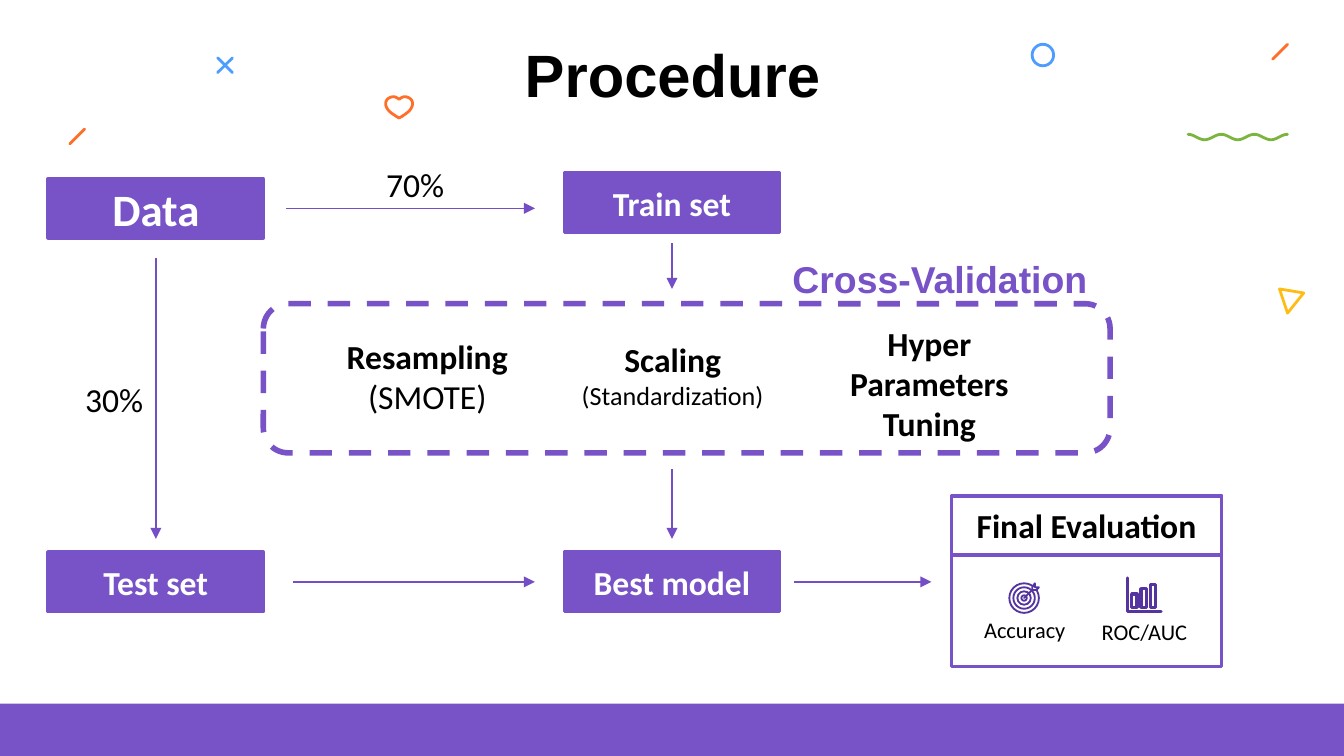
from dataclasses import dataclass
from math import cos, pi
from lxml.etree import SubElement
from pptx import Presentation
from pptx.dml.color import RGBColor
from pptx.enum.dml import MSO_LINE
from pptx.enum.shapes import MSO_CONNECTOR, MSO_SHAPE
from pptx.enum.text import MSO_ANCHOR, PP_ALIGN
from pptx.oxml.ns import qn
from pptx.util import Inches, Pt


@dataclass(frozen=True)
class Theme:
    purple: str = "7753C7"
    arrow: str = "734EC5"
    icon: str = "5534A0"
    white: str = "FFFFFF"
    black: str = "000000"
    orange: str = "FF6F29"
    blue: str = "4D9DFF"
    green: str = "7CB53E"
    yellow: str = "FFBC12"
    head: str = "Arial"
    body: str = "Calibri"
    title: int = 32
    data: int = 24
    section: int = 20
    step: int = 18
    note: int = 14
    small: int = 12


T = Theme()
SLIDE_W, SLIDE_H = 10, 10 * 9 / 16
BOX_W, BOX_H = 1.6, 0.44
HEADING = dict(font=T.head, anchor=MSO_ANCHOR.TOP, pad=0.05)


# Basic parts
def style(s, fill=None, line=None, width=2):
    s.shadow.inherit = False
    if fill:
        s.fill.solid()
        s.fill.fore_color.rgb = RGBColor.from_string(fill)
    else:
        s.fill.background()
    if line:
        s.line.color.rgb = RGBColor.from_string(line)
        s.line.width = Pt(width)
    else:
        s.line.fill.background()
    return s


def write(s, paragraphs, color=T.black, font=T.body,
          anchor=MSO_ANCHOR.MIDDLE, pad=0.1):
    """Fill a shape with centred (text, size, bold) paragraphs."""
    tf = s.text_frame
    frame = dict(word_wrap=True, vertical_anchor=anchor,
                 margin_left=Inches(0.1), margin_right=Inches(0.1),
                 margin_top=Inches(pad), margin_bottom=Inches(pad))
    for name, value in frame.items():
        setattr(tf, name, value)
    for i, (text, size, bold) in enumerate(paragraphs):
        p = tf.add_paragraph() if i else tf.paragraphs[0]
        p.alignment = PP_ALIGN.CENTER
        r = p.add_run()
        r.text = text
        for name, value in dict(name=font, size=Pt(size), bold=bold).items():
            setattr(r.font, name, value)
        r.font.color.rgb = RGBColor.from_string(color)


def add_block(slide, box, kind=MSO_SHAPE.RECTANGLE, **look):
    return style(slide.shapes.add_shape(kind, *map(Inches, box)), **look)


def add_label(slide, box, *paragraphs, **look):
    write(slide.shapes.add_textbox(*map(Inches, box)), paragraphs, **look)


def add_step(slide, x, y, text, size=T.step):
    s = add_block(slide, (x, y, BOX_W, BOX_H), fill=T.purple, line=T.purple)
    write(s, [(text, size, True)], T.white)


def add_line(slide, x1, y1, x2, y2, color, width, head=False):
    s = slide.shapes.add_connector(MSO_CONNECTOR.STRAIGHT,
                                   *map(Inches, (x1, y1, x2, y2)))
    s.line.color.rgb = RGBColor.from_string(color)
    s.line.width = Pt(width)
    ln = s.line._get_or_add_ln()
    if head:
        SubElement(ln, qn("a:tailEnd"), type="triangle")
    else:
        ln.set("cap", "rnd")
    SubElement(s._element.spPr, qn("a:effectLst"))


def add_outline(slide, points, color, width=1.5, close=False, fill=None):
    pts = [(Inches(x), Inches(y)) for x, y in points]
    fb = slide.shapes.build_freeform(*pts[0])
    fb.add_line_segments(pts[1:], close=close)
    s = style(fb.convert_to_shape(), fill, color, width)
    s.line._get_or_add_ln().set("cap", "rnd")


def bezier(a, b, c, d, n=10):
    for t in (i / n for i in range(n + 1)):
        u = 1 - t
        yield tuple(u**3 * p + 3 * u * u * t * q + 3 * u * t * t * v + t**3 * w
                    for p, q, v, w in zip(a, b, c, d))


# Ornaments around the title, and the footer band
def add_ornaments(slide, box):
    x, y, w, h = box
    add_block(slide, (x, y + h - 0.39, w, 0.39), fill=T.purple)
    n = 72
    add_outline(slide, [(x + 8.84 + 0.74 * i / n,
                         y + 1.02 - 0.02 * cos(6 * pi * i / n))
                        for i in range(n + 1)], T.green)
    cx, cy = x + 2.97, y + 0.72
    half = [*bezier((0, 0.16), (0.01, 0.15), (0.02, 0.15), (0.03, 0.14)),
            *bezier((0.03, 0.14), (0.1, 0.1), (0.1, 0.06), (0.1, 0.05)),
            *bezier((0.1, 0.05), (0.1, 0.02), (0.07, 0), (0.04, 0)),
            *bezier((0.04, 0), (0.03, 0), (0.01, 0.01), (0, 0.02))]
    heart = half + [(-dx, dy) for dx, dy in reversed(half)]
    add_outline(slide, [(cx + dx, cy + dy) for dx, dy in heart],
                T.orange, close=True)
    add_block(slide, (x + 7.68, y + 0.33, 0.16, 0.16), MSO_SHAPE.OVAL,
              line=T.blue, width=1.5)
    d = 0.11
    for dx, dy, color in ((1.62, 0.43, T.blue), (0.52, 0.96, T.orange),
                          (9.47, 0.33, T.orange)):
        add_line(slide, x + dx, y + dy + d, x + dx + d, y + dy, color, 1.5)
    add_line(slide, x + 1.62, y + 0.43, x + 1.62 + d, y + 0.43 + d, T.blue, 1.5)
    add_outline(slide, [(x + 9.52, y + 2.15), (x + 9.58, y + 2.33),
                        (x + 9.7, y + 2.18)], T.yellow, close=True)


def add_title(slide, box, text):
    s = slide.shapes.title
    s.left, s.top, s.width, s.height = map(Inches, box)
    write(s, [(text, T.title, True)], **HEADING)


# Data split, model fitting and the arrows between them
def add_flow(slide, box):
    x, y, w, h = box
    mid, low = x + 3.84, y + h - BOX_H
    add_step(slide, x, y + 0.04, "Data", T.data)
    add_step(slide, mid, y, "Train set")
    add_step(slide, x, low, "Test set")
    add_step(slide, mid, low, "Best model")
    left, centre, row = x + BOX_W / 2, mid + BOX_W / 2, low + BOX_H / 2
    for ends in ((left, y + 0.63, left, low - 0.1),
                 (x + 1.77, y + 0.26, mid - 0.22, y + 0.26),
                 (centre, y + 0.52, centre, y + 0.86),
                 (centre, y + 2.2, centre, low - 0.1),
                 (x + 1.82, row, mid - 0.22, row),
                 (mid + 1.71, row, mid + 2.73, row)):
        add_line(slide, *ends, T.arrow, 0.75, head=True)
    for dx, dy, share in ((1.93, -0.14, "70%"), (-0.31, 1.46, "30%")):
        add_label(slide, (x + dx, y + dy, BOX_W, BOX_H), (share, T.step, False))


def add_cross_validation(slide, box):
    x, y, w, h = box
    frame = add_block(slide, box, MSO_SHAPE.ROUNDED_RECTANGLE,
                      line=T.purple, width=3)
    frame.line.dash_style = MSO_LINE.DASH
    add_label(slide, (x + w - 2.53, y - 0.4, 2.53, 0.34),
              ("Cross-Validation", T.section, True), color=T.purple, **HEADING)
    add_label(slide, (x + 0.42, y + 0.32, 1.6, 0.44),
              ("Resampling", T.step, True), ("(SMOTE)", T.step, False))
    add_label(slide, (x + 2.17, y + 0.04, 1.75, 0.98),
              ("Scaling", T.step, True), ("(Standardization)", T.note, False))
    add_label(slide, (x + 4.08, y + 0.37, 1.75, 0.44),
              ("Hyper Parameters Tuning", T.step, True))


# Icons of the evaluation card
def add_target(slide, box):
    x, y, w, h = box
    cx, cy = x + w / 2, y + h / 2
    for r in (0.11, 0.08, 0.05, 0.02):
        add_block(slide, (cx - r, cy - r, 2 * r, 2 * r), MSO_SHAPE.OVAL,
                  line=T.icon, width=1)
    add_line(slide, cx, cy, cx + 0.06, cy - 0.06, T.icon, 1)
    vane = [(0.06, 0.06), (0.06, 0.08), (0.08, 0.11), (0.08, 0.08),
            (0.11, 0.08), (0.09, 0.06)]
    add_outline(slide, [(cx + dx, cy - dy) for dx, dy in vane],
                T.icon, 1, close=True, fill=T.white)


def add_bars(slide, box):
    x, y, w, h = box
    add_outline(slide, [(x + 0.01, y + 0.01), (x + 0.01, y + h - 0.01),
                        (x + w - 0.01, y + h - 0.01)], T.icon)
    for i, bar in enumerate((0.1, 0.14, 0.17)):
        add_block(slide, (x + 0.04 + 0.07 * i, y + 0.23 - bar, 0.04, bar),
                  line=T.icon, width=1.75)


def add_evaluation(slide, box):
    x, y, w, h = box
    add_block(slide, (x, y + BOX_H, w, h - BOX_H), fill=T.white, line=T.purple)
    header = add_block(slide, (x, y, w, BOX_H), fill=T.white, line=T.purple)
    write(header, [("Final Evaluation", T.step, True)])
    add_target(slide, (x + 0.42, y + 0.64, 0.24, 0.24))
    add_bars(slide, (x + 1.3, y + 0.6, 0.27, 0.27))
    for dx, dy, w, h, name in ((0.1, 0.9, 0.89, 0.19, "Accuracy"),
                               (0.81, 0.94, 1.25, 0.14, "ROC/AUC")):
        add_label(slide, (x + dx, y + dy, w, h), (name, T.small, False))


def main():
    prs = Presentation()
    prs.slide_width, prs.slide_height = Inches(SLIDE_W), Inches(SLIDE_H)
    slide = prs.slides.add_slide(prs.slide_layouts[5])
    add_ornaments(slide, (0, 0, SLIDE_W, SLIDE_H))
    add_title(slide, (3.11, 0.23, 3.79, 0.63), "Procedure")
    add_flow(slide, (0.36, 1.29, 5.44, 3.26))
    add_cross_validation(slide, (1.96, 2.26, 6.3, 1.11))
    add_evaluation(slide, (7.08, 3.69, 2.01, 1.27))
    prs.save("out.pptx")


if __name__ == "__main__":
    main()
